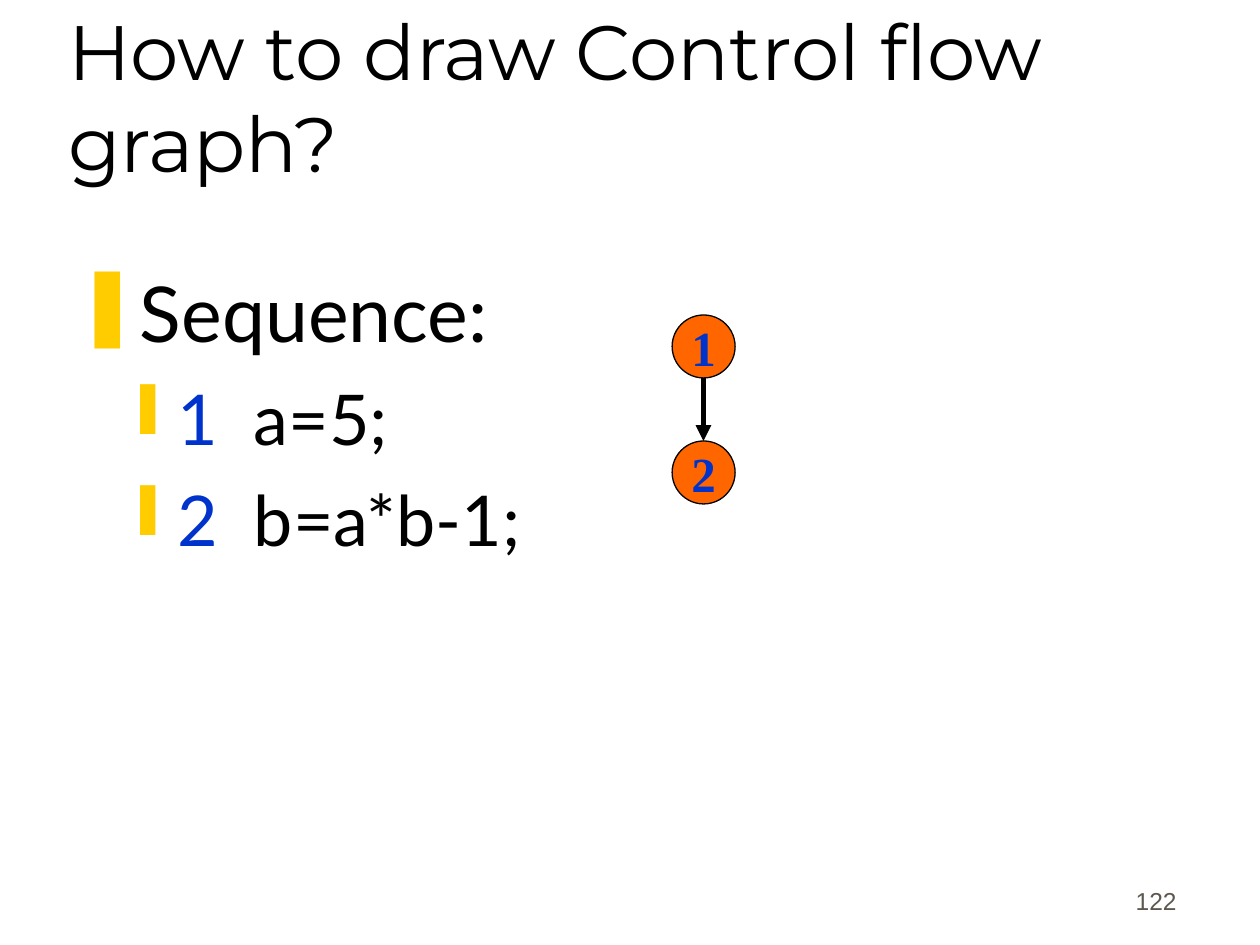
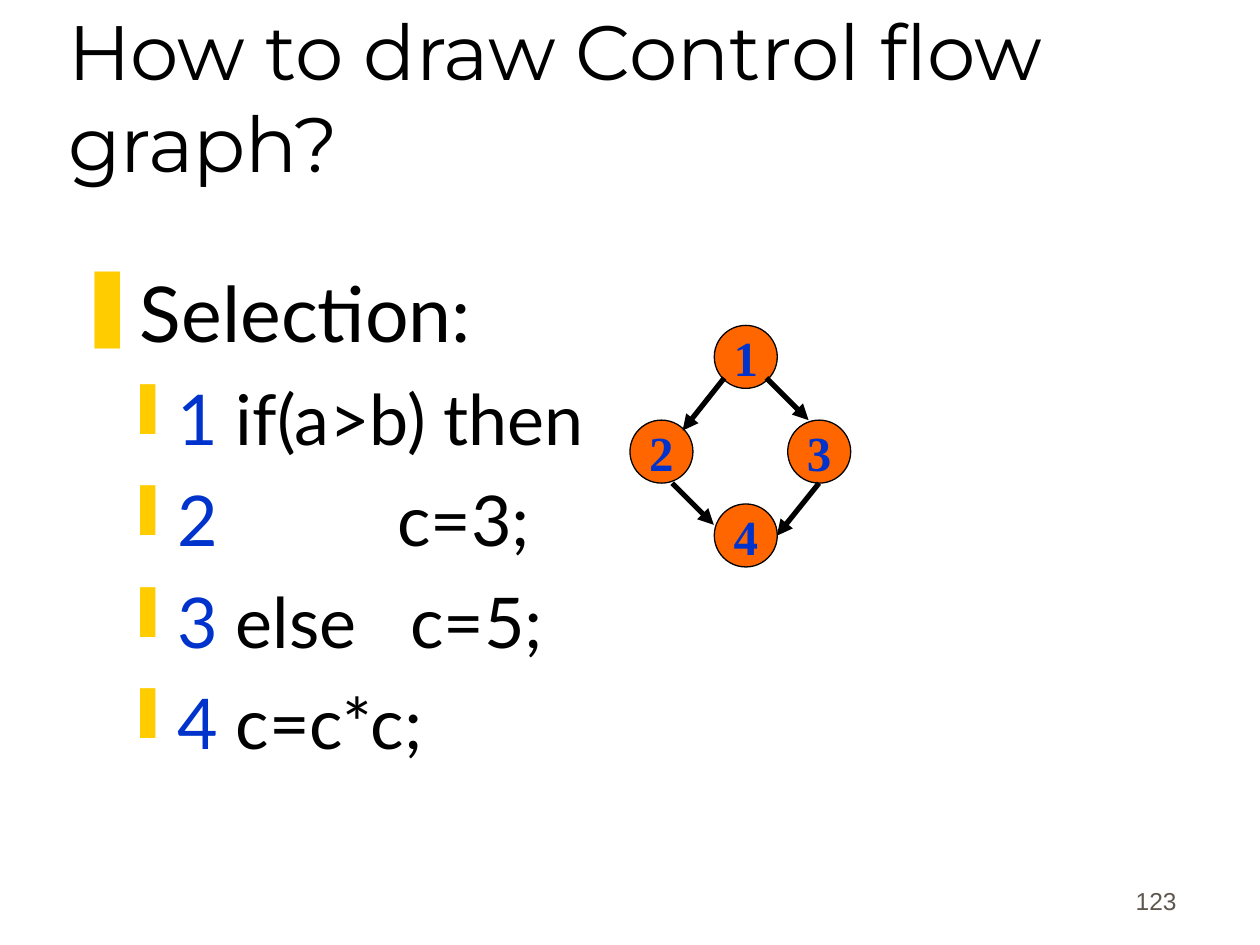
from lxml import etree
from pptx import Presentation
from pptx import util as u
from pptx.dml.color import RGBColor
from pptx.enum import shapes, text
from pptx.oxml.ns import qn

COLORS = {"ink": "000000", "number": "0033CC", "bullet": "FFCC00",
          "node": "FF6600", "footer": "5E574E"}
NODE = 1.27

SLIDES = [
    {"page": "122", "heading": "Sequence:",
     "code": [("1", "  a=5;"), ("2", "  b=a*b-1;")],
     "nodes": [(13.55, 6.35), (13.55, 8.89)],
     "arrows": [(14.18, 7.62, 14.18, 8.89)]},
    {"page": "123", "heading": "Selection:",
     "code": [("1", " if(a>b) then"), ("2", "          c=3;"),
              ("3", " else   c=5;"), ("4", " c=c*c;")],
     "nodes": [(14.4, 6.56), (12.7, 8.47), (15.88, 8.47), (14.4, 10.16)],
     "arrows": [(14.6, 7.62, 13.76, 8.68), (15.45, 7.62, 16.3, 8.47),
                (13.55, 9.74, 14.39, 10.58), (16.51, 9.74, 15.66, 10.8)]},
]


def write(p, words, size, font="Lato", color="ink", bold=False):
    r = p.add_run()
    r.text = words
    r.font.size = u.Pt(size)
    r.font.name = font
    r.font.bold = bold
    r.font.color.rgb = RGBColor.from_string(COLORS[color])


def add_bullet(p, char, margin, hanging):
    pPr = p._p.get_or_add_pPr()
    pPr.set("marL", str(u.Cm(margin)))
    pPr.set("indent", str(-u.Cm(hanging)))
    clr = etree.SubElement(pPr, qn("a:buClr"))
    etree.SubElement(clr, qn("a:srgbClr"), val=COLORS["bullet"])
    etree.SubElement(pPr, qn("a:buChar"), char=char)


prs = Presentation()
prs.slide_width, prs.slide_height = u.Cm(25.4), u.Cm(19.05)

for content in SLIDES:
    s = prs.slides.add_slide(prs.slide_layouts[5])

    title = s.shapes.title
    title.left, title.top = u.Cm(1.12), u.Cm(0.64)
    title.width, title.height = u.Cm(21.59), u.Cm(3.18)
    tf = title.text_frame
    tf.auto_size = text.MSO_AUTO_SIZE.NONE
    tf.vertical_anchor = text.MSO_ANCHOR.BOTTOM
    tf.margin_bottom = u.Cm(0.03)
    p = tf.paragraphs[0]
    p.alignment = text.PP_ALIGN.LEFT
    write(p, "How to draw Control flow graph?", 44, "Montserrat")

    sp = s.shapes.add_textbox(u.Cm(18.69), u.Cm(17.3), u.Cm(5.28), u.Cm(1.27))
    tf = sp.text_frame
    tf.word_wrap = True
    tf.vertical_anchor = text.MSO_ANCHOR.BOTTOM
    p = tf.paragraphs[0]
    p.alignment = text.PP_ALIGN.RIGHT
    write(p, content["page"], 14, "Arial", "footer")

    sp = s.shapes.add_textbox(u.Cm(1.27), u.Cm(5.23), u.Cm(22.71), u.Cm(11.58))
    tf = sp.text_frame
    tf.word_wrap = True
    p = tf.paragraphs[0]
    add_bullet(p, "❚", 0.95, 0.95)
    write(p, content["heading"], 44)
    for number, code in content["code"]:
        p = tf.add_paragraph()
        p.level = 1
        p.space_before = u.Pt(10)
        add_bullet(p, "❙", 2.06, 0.79)
        write(p, number, 40, color="number")
        write(p, code, 40)

    for number, (x, y) in enumerate(content["nodes"], 1):
        sp = s.shapes.add_shape(shapes.MSO_SHAPE.OVAL, u.Cm(x), u.Cm(y), u.Cm(NODE), u.Cm(NODE))
        sp.shadow.inherit = False
        sp.fill.solid()
        sp.fill.fore_color.rgb = RGBColor.from_string(COLORS["node"])
        sp.line.color.rgb = RGBColor.from_string(COLORS["ink"])
        sp.line.width = u.Pt(0.75)
        tf = sp.text_frame
        tf.word_wrap = False
        tf.vertical_anchor = text.MSO_ANCHOR.MIDDLE
        p = tf.paragraphs[0]
        p.alignment = text.PP_ALIGN.CENTER
        write(p, str(number), 28, "Times New Roman", "number", True)

    for ends in content["arrows"]:
        arrow = s.shapes.add_connector(shapes.MSO_CONNECTOR.STRAIGHT, *map(u.Cm, ends))
        arrow.line.color.rgb = RGBColor.from_string(COLORS["ink"])
        arrow.line.width = u.Pt(3)
        etree.SubElement(arrow.line._get_or_add_ln(), qn("a:tailEnd"), type="triangle")
        etree.SubElement(arrow._element.spPr, qn("a:effectLst"))

prs.save("out.pptx")
